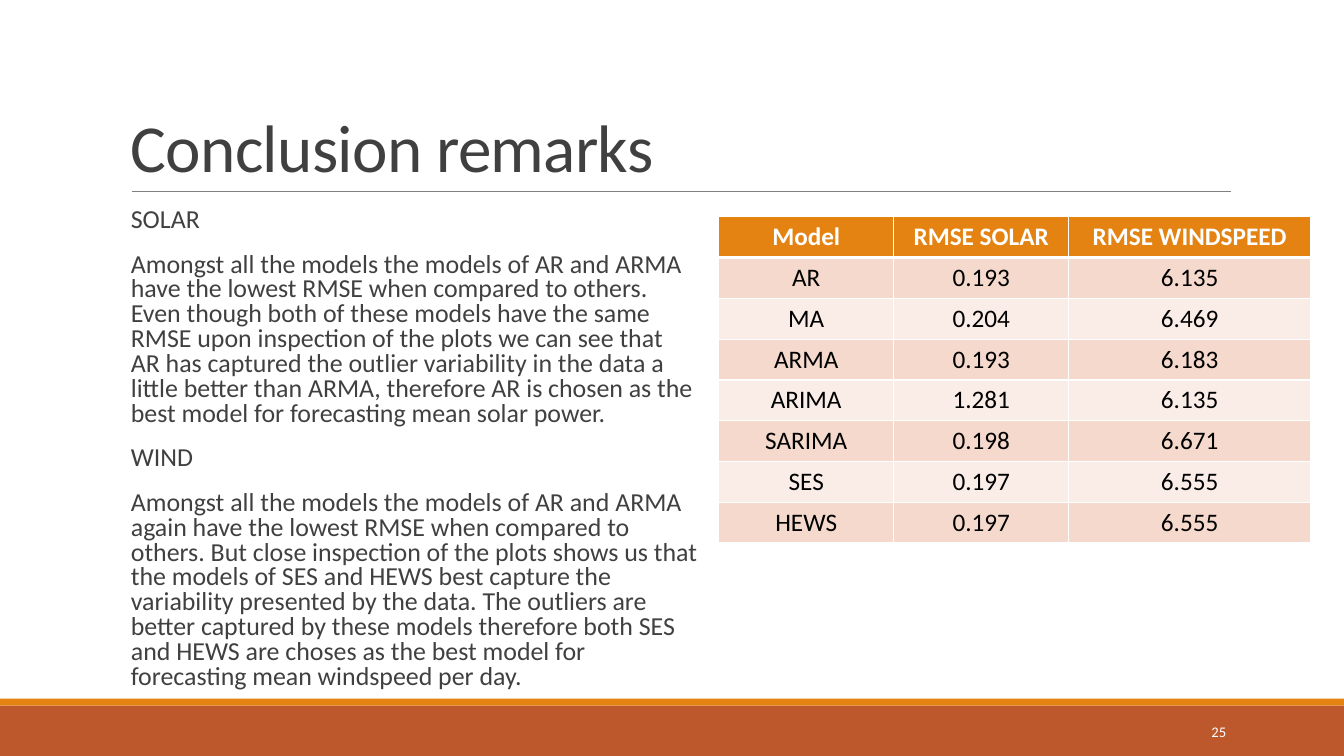
from lxml import etree
from pptx import Presentation
from pptx.dml.color import RGBColor
from pptx.enum.shapes import MSO_CONNECTOR, MSO_SHAPE
from pptx.enum.text import MSO_ANCHOR, PP_ALIGN
from pptx.oxml.ns import qn
from pptx.util import Pt

RECT, STRAIGHT = MSO_SHAPE.RECTANGLE, MSO_CONNECTOR.STRAIGHT
TOP, MIDDLE, BOTTOM = MSO_ANCHOR.TOP, MSO_ANCHOR.MIDDLE, MSO_ANCHOR.BOTTOM
LEFT, CENTER, RIGHT = PP_ALIGN.LEFT, PP_ALIGN.CENTER, PP_ALIGN.RIGHT

# Content
TITLE = "Conclusion remarks"
REMARKS = [
    "SOLAR",
    "Amongst all the models the models of AR and ARMA have the lowest RMSE when "
    "compared to others. Even though both of these models have the same RMSE upon "
    "inspection of the plots we can see that AR has captured the outlier variability "
    "in the data a little better than ARMA, therefore AR is chosen as the best model "
    "for forecasting mean solar power.",
    "WIND",
    "Amongst all the models the models of AR and ARMA again have the lowest RMSE when "
    "compared to others. But close inspection of the plots shows us that the models of "
    "SES and HEWS best capture the variability presented by the data. The outliers are "
    "better captured by these models therefore both SES and HEWS are choses as the best "
    "model for forecasting mean windspeed per day.",
]
RMSE = [
    ("Model", "RMSE SOLAR", "RMSE WINDSPEED"),
    ("AR", "0.193", "6.135"),
    ("MA", "0.204", "6.469"),
    ("ARMA", "0.193", "6.183"),
    ("ARIMA", "1.281", "6.135"),
    ("SARIMA", "0.198", "6.671"),
    ("SES", "0.197", "6.555"),
    ("HEWS", "0.197", "6.555"),
]
PAGE = "25"

# Style
FONT = "Calibri"
ORANGE, RUST, GREY, DARK = "E48312", "BD582C", "808080", "404040"
WHITE, BLACK = "FFFFFF", "000000"
BANDS = ["FAEDE7", "F5D9CC"]
WIDTH, HEIGHT = 960, 540
FOOTER_H, STRIPE_H = 36, 5
COL_WIDTHS = [125, 125, 172.8]
ROW_H = 29.15


def color(value):
    return RGBColor.from_string(value)


def write(tf, paragraphs, size, fill, bold=False, align=LEFT, anchor=TOP,
          line=1.0, before=0, after=0, tracking=0):
    tf.word_wrap = True
    tf.vertical_anchor = anchor
    for i, text in enumerate(paragraphs):
        p = tf.paragraphs[0] if i == 0 else tf.add_paragraph()
        p.alignment = align
        p.line_spacing = line
        p.space_before = Pt(before if i else 0)
        p.space_after = Pt(after)
        r = p.add_run()
        r.text = text
        r.font.name, r.font.size, r.font.bold = FONT, Pt(size), bold
        r.font.color.rgb = color(fill)
        if tracking:
            r.font._element.set("spc", str(round(tracking * 100)))


def text_box(s, x, y, w, h, paragraphs, size, fill, **fmt):
    tf = s.shapes.add_textbox(Pt(x), Pt(y), Pt(w), Pt(h)).text_frame
    write(tf, paragraphs, size, fill, **fmt)
    return tf


def bar(s, y, h, fill):
    sp = s.shapes.add_shape(RECT, 0, Pt(y), Pt(WIDTH), Pt(h))
    sp.shadow.inherit = False
    sp.fill.solid()
    sp.fill.fore_color.rgb = color(fill)
    sp.line.fill.background()


def cell_borders(cell, bottom):
    tc_pr = cell._tc.get_or_add_tcPr()
    widths = {"a:lnL": 1, "a:lnR": 1, "a:lnT": 1, "a:lnB": bottom}
    for i, (tag, width) in enumerate(widths.items()):
        ln = etree.Element(qn(tag), w=str(Pt(width)))
        solid = etree.SubElement(ln, qn("a:solidFill"))
        etree.SubElement(solid, qn("a:srgbClr"), val=WHITE)
        tc_pr.insert(i, ln)


def rmse_table(s, x, y):
    table = s.shapes.add_table(len(RMSE), len(COL_WIDTHS), Pt(x), Pt(y),
                               Pt(sum(COL_WIDTHS)), Pt(ROW_H * len(RMSE))).table
    for col, width in zip(table.columns, COL_WIDTHS):
        col.width = Pt(width)
    for i, values in enumerate(RMSE):
        header = i == 0
        table.rows[i].height = Pt(ROW_H)
        for j, value in enumerate(values):
            cell = table.cell(i, j)
            cell.fill.solid()
            cell.fill.fore_color.rgb = color(ORANGE if header else BANDS[i % 2])
            cell_borders(cell, 3 if header else 1)
            write(cell.text_frame, [value], 18, WHITE if header else BLACK,
                  bold=header, align=CENTER, anchor=None)


def main():
    prs = Presentation()
    prs.slide_width, prs.slide_height = Pt(WIDTH), Pt(HEIGHT)
    s = prs.slides.add_slide(prs.slide_layouts[6])

    # Footer bars and title rule
    footer_y = HEIGHT - FOOTER_H
    bar(s, footer_y, FOOTER_H, RUST)
    bar(s, footer_y - STRIPE_H, STRIPE_H, ORANGE)
    rule = s.shapes.add_connector(STRAIGHT, Pt(94), Pt(136.6), Pt(879), Pt(136.6))
    rule.line.color.rgb = color(GREY)
    rule.line.width = Pt(0.5)
    etree.SubElement(rule._element.spPr, qn("a:effectLst"))

    # Title, remarks and page number
    text_box(s, 86.4, 22.5, 792, 114.2, [TITLE], 48, DARK,
             anchor=BOTTOM, line=0.85, tracking=-0.5)
    tf = text_box(s, 86.4, 145.5, 411.8, 363.5, REMARKS, 18.5, DARK,
                  line=0.8, before=12, after=2)
    tf.margin_left, tf.margin_right = Pt(7.2), 0
    text_box(s, 780, 508.5, 103, 28.8, [PAGE], 10.5, WHITE,
             align=RIGHT, anchor=MIDDLE)

    # Error table
    rmse_table(s, 513.4, 154.8)
    prs.save("out.pptx")


if __name__ == "__main__":
    main()
